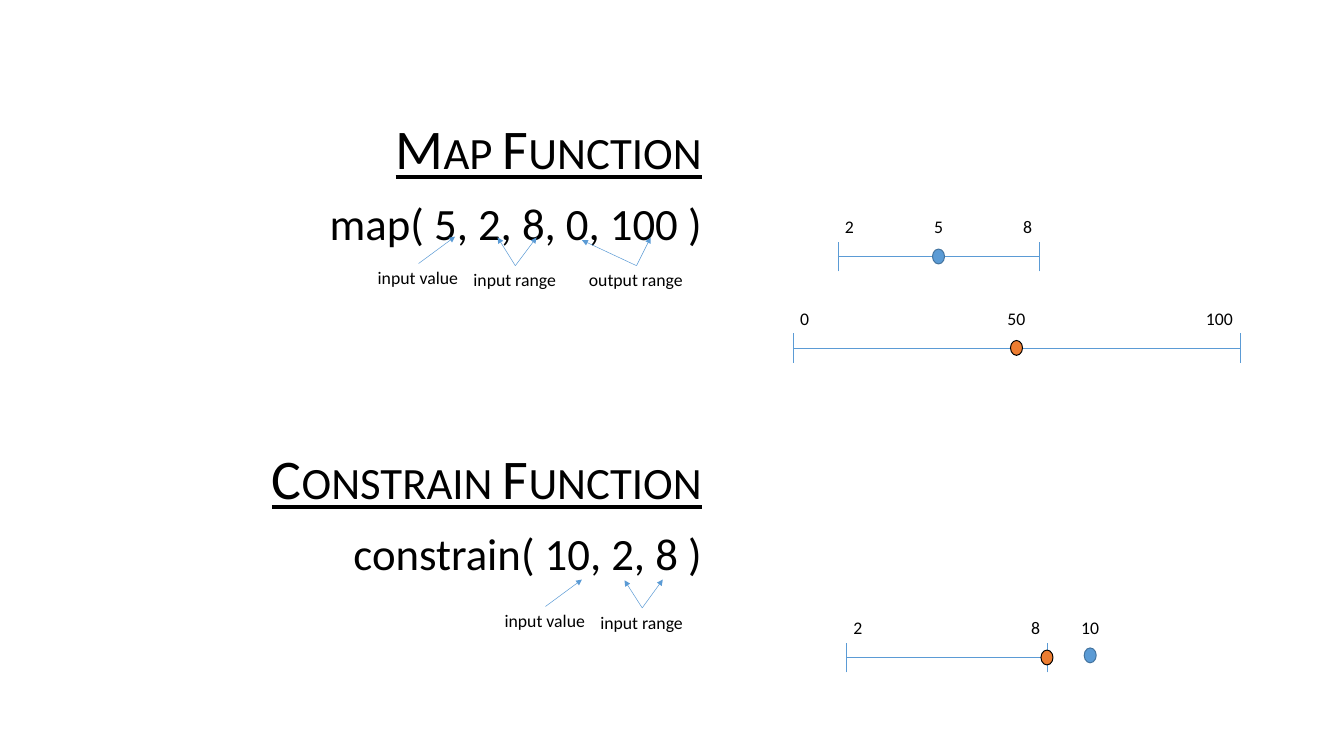
from dataclasses import dataclass

from pptx import Presentation
from pptx.dml.color import RGBColor as RGB
from pptx.enum.shapes import MSO_CONNECTOR as CONNECTOR, MSO_SHAPE as SHAPE
from pptx.enum.text import MSO_ANCHOR as ANCHOR, PP_ALIGN as ALIGN
from pptx.oxml.ns import qn
from pptx.util import Inches, Pt
from lxml.etree import SubElement


@dataclass(frozen=True)
class Theme:
    font: str = "Calibri"
    ink: RGB = RGB(0x00, 0x00, 0x00)
    blue: RGB = RGB(0x5B, 0x9B, 0xD5)
    blue_edge: RGB = RGB(0x43, 0x73, 0x9E)
    orange: RGB = RGB(0xED, 0x7D, 0x31)
    heading: float = 56.9
    call: float = 45.5
    label: float = 18
    thin: float = 0.5
    edge: float = 1


THEME = Theme()
LABEL_HEIGHT = 0.4
LABEL_RISE = 0.62  # from a scale up to the top of its numbers
TICK = 0.21
DOT_WIDTH, DOT_HEIGHT = 0.17, 0.21


def apply(target, values):
    for name, value in values.items():
        setattr(target, name, value)


def add_run(paragraph, text, size, underline=False):
    run = paragraph.add_run()
    run.text = text
    apply(run.font, {"name": THEME.font, "size": Pt(size), "underline": underline})
    run.font.color.rgb = THEME.ink
    return run


def add_label(slide, text, left, top, width, align=ALIGN.LEFT):
    label = slide.shapes.add_textbox(
        Inches(left), Inches(top), Inches(width), Inches(LABEL_HEIGHT))
    label.text_frame.word_wrap = False
    paragraph = label.text_frame.paragraphs[0]
    paragraph.alignment = align
    add_run(paragraph, text, THEME.label)
    return label


def add_line(slide, x1, y1, x2, y2):
    line = slide.shapes.add_connector(
        CONNECTOR.STRAIGHT, Inches(x1), Inches(y1), Inches(x2), Inches(y2))
    line.line.color.rgb = THEME.blue
    line.line.width = Pt(THEME.thin)
    SubElement(line._element.spPr, qn("a:effectLst"))
    return line


def add_function(slide, heading, call, top):
    """Underlined small-caps heading above a sample call."""
    box = slide.shapes.add_textbox(Inches(3), Inches(top), Inches(7), Inches(2))
    frame = box.text_frame
    apply(frame, {"word_wrap": True, "vertical_anchor": ANCHOR.TOP,
                  "margin_top": 0, "margin_bottom": 0})
    title, sample = frame.paragraphs[0], frame.add_paragraph()
    apply(title, {"alignment": ALIGN.RIGHT, "space_after": Pt(8.5)})
    apply(sample, {"alignment": ALIGN.RIGHT, "space_before": Pt(7.1)})
    heading_run = add_run(title, heading, THEME.heading, underline=True)
    heading_run._r.get_or_add_rPr().set("cap", "small")
    add_run(sample, call, THEME.call)


def add_argument(slide, text, left, top, width, targets):
    """Label with arrows up to the arguments it explains."""
    label = add_label(slide, text, left, top, width)
    for x, y in targets:
        arrow = add_line(slide, left + width / 2, top, x, y)
        arrow.begin_connect(label, 0)
        SubElement(arrow.line._get_or_add_ln(), qn("a:tailEnd"), type="triangle")


def add_dot(slide, x, y, fill, edge):
    dot = slide.shapes.add_shape(
        SHAPE.OVAL, Inches(x - DOT_WIDTH / 2), Inches(y - DOT_HEIGHT / 2),
        Inches(DOT_WIDTH), Inches(DOT_HEIGHT))
    dot.shadow.inherit = False
    dot.fill.solid()
    dot.fill.fore_color.rgb = fill
    dot.line.color.rgb = edge
    dot.line.width = Pt(THEME.edge)


def number_width(value):
    return 0.2 + 0.13 * len(str(value))


def add_centred_number(slide, value, x, y):
    width = number_width(value)
    add_label(slide, str(value), x - width / 2, y - LABEL_RISE, width, ALIGN.CENTER)


def add_scale(slide, left, right, y, low, high, value, fill, edge):
    """Number line from low to high with a dot at value."""
    add_line(slide, left, y, right, y)
    for x in (left, right):
        add_line(slide, x, y + TICK, x, y - TICK)
    add_label(slide, str(low), left, y - LABEL_RISE, number_width(low))
    high_width = number_width(high)
    add_label(slide, str(high), right - high_width, y - LABEL_RISE,
              high_width, ALIGN.RIGHT)
    x = left + (right - left) * (value - low) / (high - low)
    if low < value < high:
        add_centred_number(slide, value, x, y)
    add_dot(slide, x, y, fill, edge)


def main():
    deck = Presentation()
    apply(deck, {"slide_width": Inches(18.96), "slide_height": Inches(10.67)})
    slide = deck.slides.add_slide(deck.slide_layouts[6])
    blue_dot = (THEME.blue, THEME.blue_edge)
    orange_dot = (THEME.orange, THEME.ink)

    # Functions
    add_function(slide, "Map Function", "map( 5, 2, 8, 0, 100 )", 1.6)
    add_function(slide, "Constrain Function", "constrain( 10, 2, 8 )", 6.26)

    # Arguments
    for argument in (
        ("input value", 5.23, 3.72, 1.35, [(6.42, 3.34)]),
        ("input range", 6.58, 3.75, 1.38, [(7.02, 3.35), (7.57, 3.35)]),
        ("output range", 8.21, 3.75, 1.54, [(8.21, 3.39), (9.18, 3.35)]),
        ("input value", 7.02, 8.56, 1.35, [(8.21, 8.18)]),
        ("input range", 8.37, 8.58, 1.38, [(8.81, 8.19), (9.35, 8.18)]),
    ):
        add_argument(slide, *argument)

    # Map: input scale and output scale
    add_scale(slide, 11.82, 14.66, 3.62, 2, 8, 5, *blue_dot)
    add_scale(slide, 11.19, 17.49, 4.91, 0, 100, 50, *orange_dot)

    # Constrain: the value outside the range is held at its upper end
    add_scale(slide, 11.94, 14.77, 9.28, 2, 8, 8, *orange_dot)
    add_centred_number(slide, 10, 15.38, 9.28)
    add_dot(slide, 15.38, 9.25, *blue_dot)

    deck.save("out.pptx")


if __name__ == "__main__":
    main()
